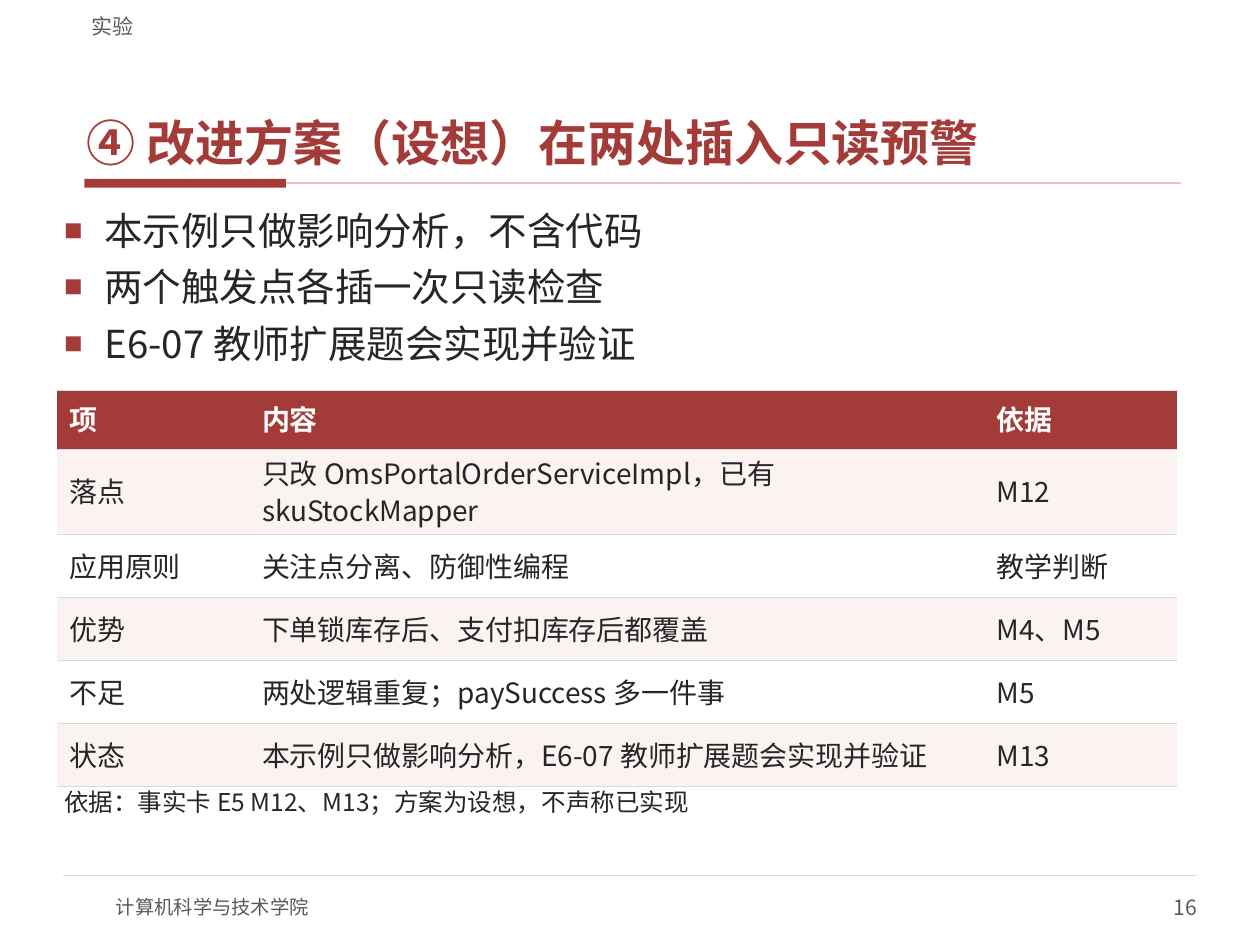
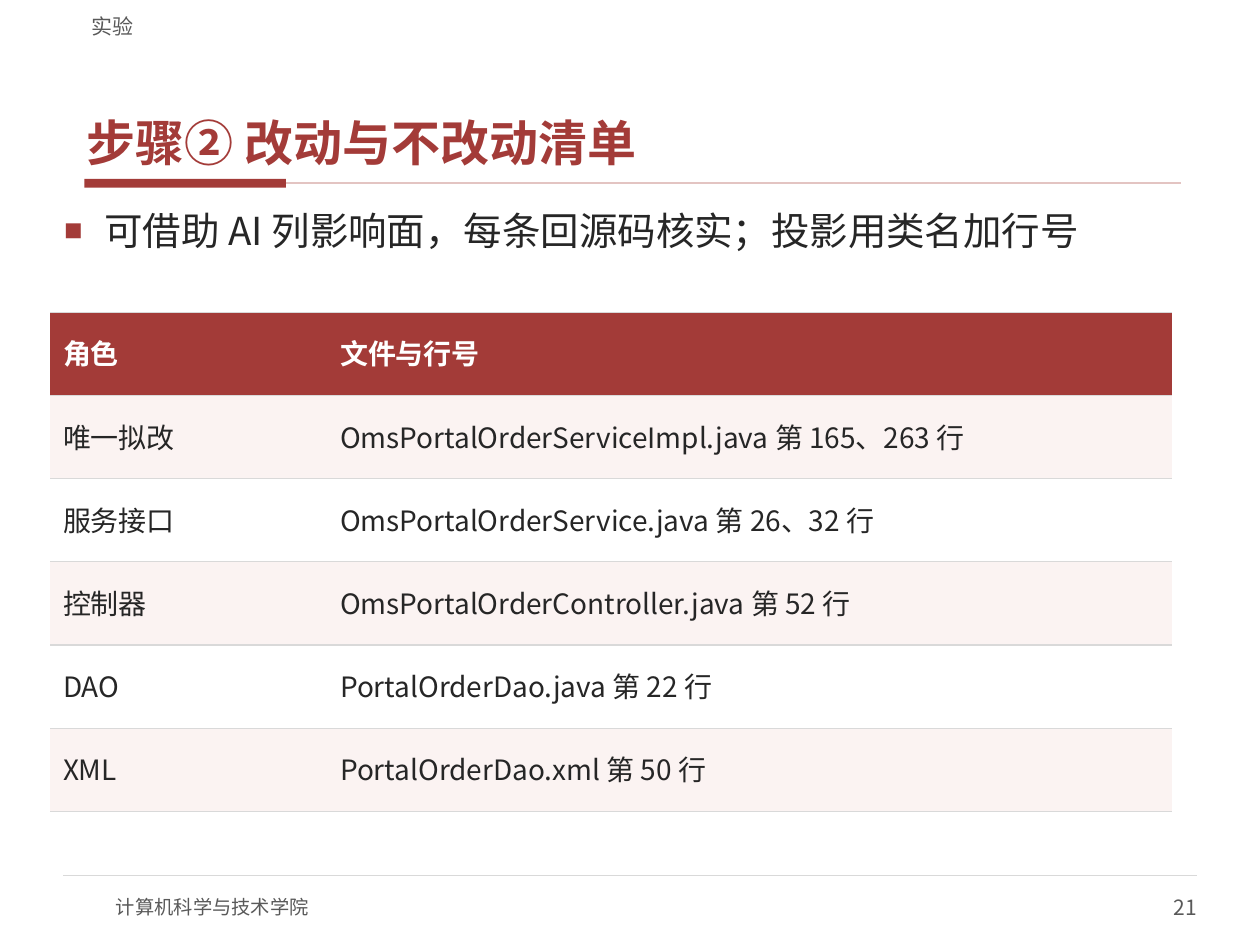
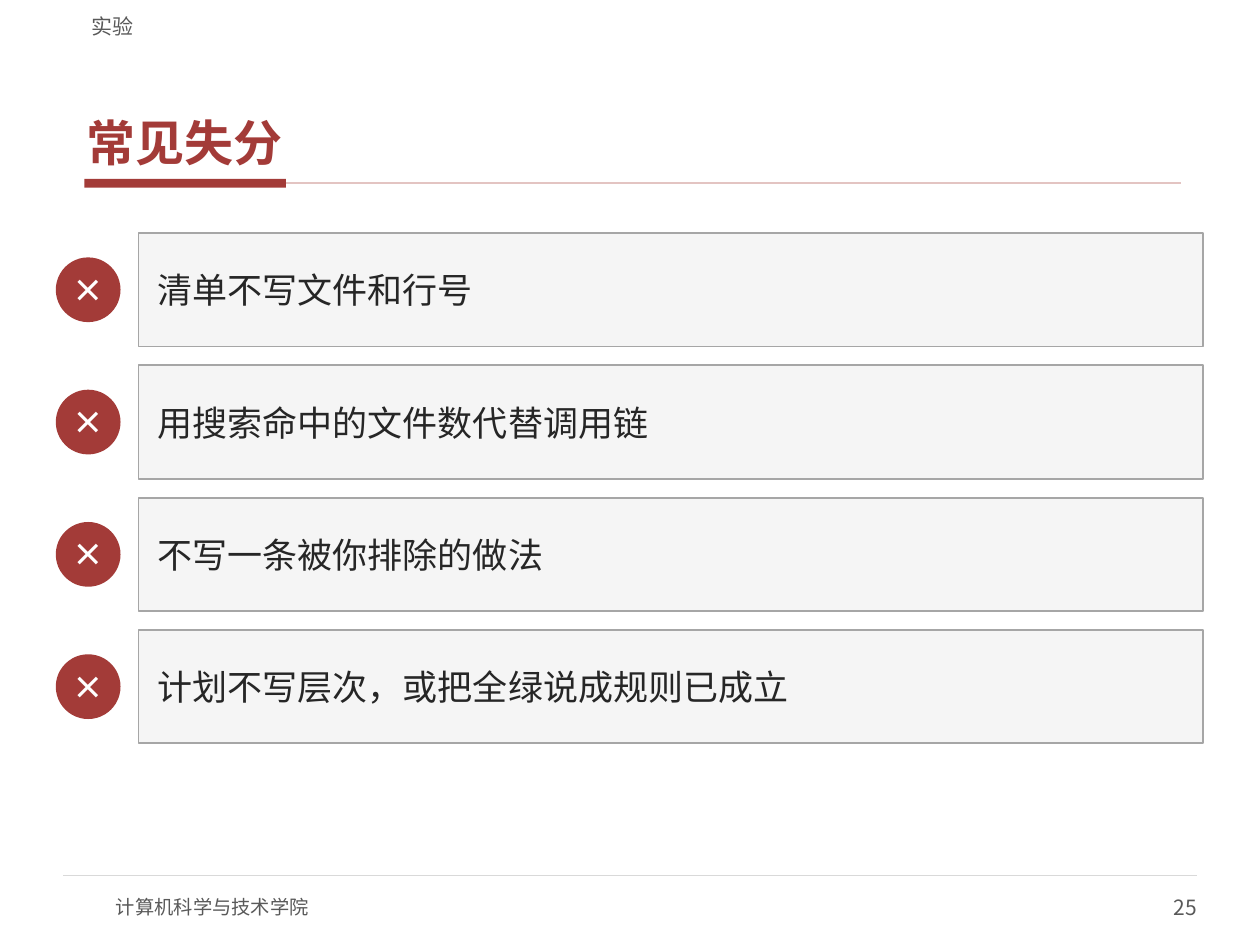
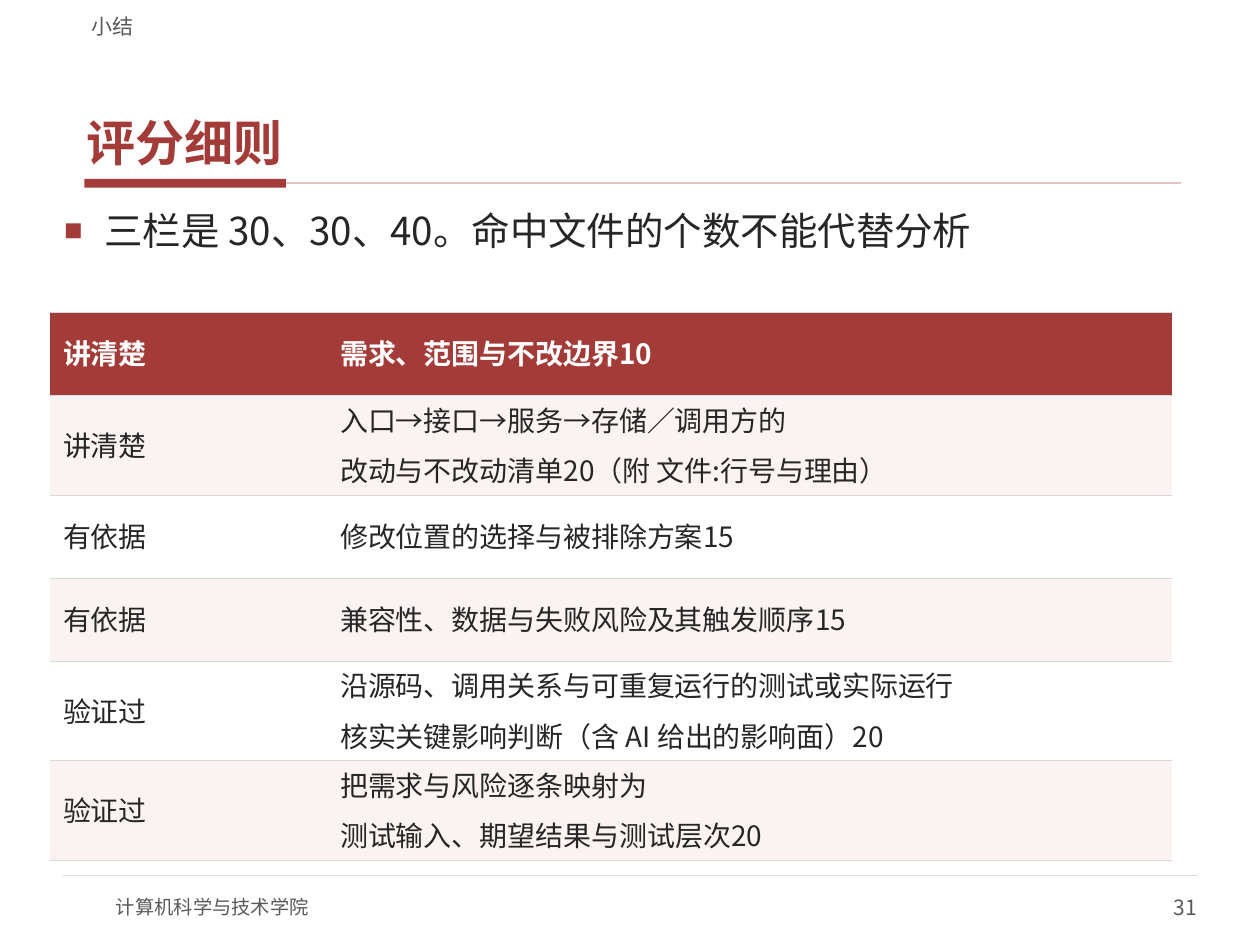
from lxml.etree import SubElement
from pptx import Presentation
from pptx.dml.color import RGBColor
from pptx.enum.shapes import MSO_CONNECTOR as CONN, MSO_SHAPE as SHAPE
from pptx.enum.text import MSO_ANCHOR as ANCHOR, PP_ALIGN as ALIGN
from pptx.oxml import parse_xml
from pptx.oxml.ns import nsdecls, qn
from pptx.util import Inches, Pt

FONT, BULLET_FONT = "Noto Sans CJK SC", "Arial"
RED, PALE_RED, ROSE = "A33B38", "E3C4C2", "FBF3F2"
INK, GRAY, MID, RULE, PANEL, WHITE = "262626", "595959", "A6A6A6", "D9D9D9", "F5F5F5", "FFFFFF"
COLS, ROWS = 200, 150
CELL = Inches(10) / COLS
NO_STYLE = "{2D5ABB26-0587-4C30-8999-92F81FD0307C}"
SNUG = (1.2, 0.4)


def grid(*cells):
    return [round(c * CELL) for c in cells]


def color(value):
    return RGBColor.from_string(value)


def add_bullet(p):
    pPr = p._p.get_or_add_pPr()
    pPr.set("marL", str(Inches(0.32)))
    pPr.set("indent", str(-Inches(0.32)))
    SubElement(SubElement(pPr, qn("a:buClr")), qn("a:srgbClr"), val=RED)
    SubElement(pPr, qn("a:buSzPct"), val="80000")
    SubElement(pPr, qn("a:buFont"), typeface=BULLET_FONT)
    SubElement(pPr, qn("a:buChar"), char="■")


def write(tf, text, size=16, ink=INK, bold=False, align=ALIGN.LEFT,
          before=0, after=0, spacing=None, bullet=False):
    for i, line in enumerate(text.split("\n")):
        p = tf.add_paragraph() if i else tf.paragraphs[0]
        p.alignment = align
        p.space_before, p.space_after = Pt(before if i else 0), Pt(after)
        if spacing:
            p.line_spacing = spacing
        if bullet:
            add_bullet(p)
        r = p.add_run()
        r.text = line
        r.font.name, r.font.size, r.font.bold = FONT, Pt(size), bold
        r.font.color.rgb = color(ink)
        SubElement(r._r.get_or_add_rPr(), qn("a:ea"), typeface=FONT)


def set_margins(holder, across, down):
    holder.margin_left, holder.margin_top = grid(across, down)
    holder.margin_right, holder.margin_bottom = grid(across, down)


def frame(sp, anchor, insets):
    tf = sp.text_frame
    tf.word_wrap = True
    tf.vertical_anchor = anchor
    set_margins(tf, *insets)
    return tf


def add_text(s, at, text, anchor=ANCHOR.TOP, insets=(0, 0), **fmt):
    write(frame(s.shapes.add_textbox(*grid(*at)), anchor, insets), text, **fmt)


def add_box(s, kind, at, fill, line=None, text=None, insets=(0, 0), **fmt):
    sp = s.shapes.add_shape(kind, *grid(*at))
    sp.shadow.inherit = False
    sp.fill.solid()
    sp.fill.fore_color.rgb = color(fill)
    if line:
        sp.line.color.rgb = color(line)
        sp.line.width = Pt(1)
    else:
        sp.line.fill.background()
    if text:
        write(frame(sp, ANCHOR.MIDDLE, insets), text, **fmt)


def add_rule(s, left, right, row, ink, width):
    c = s.shapes.add_connector(CONN.STRAIGHT, *grid(left, row, right, row))
    c.line.color.rgb = color(ink)
    c.line.width = Pt(width)
    SubElement(c._element.spPr, qn("a:effectLst"))


def add_borders(cell):
    tcPr = cell._tc.get_or_add_tcPr()
    for i, side in enumerate("TB"):
        tcPr.insert(i, parse_xml(
            f'<a:ln{side} {nsdecls("a")} w="{Pt(0.75)}"><a:solidFill>'
            f'<a:srgbClr val="{RULE}"/></a:solidFill></a:ln{side}>'))


def add_table(s, left, top, widths, heights, rows):
    shape = s.shapes.add_table(len(rows), len(widths),
                               *grid(left, top, sum(widths), sum(heights)))
    table = shape.table
    table.horz_banding = False
    table._tbl.tblPr.find(qn("a:tableStyleId")).text = NO_STYLE
    for col, width in zip(table.columns, grid(*widths)):
        col.width = width
    for row, height in zip(table.rows, grid(*heights)):
        row.height = height
    for i, row in enumerate(rows):
        fill = RED if i == 0 else (ROSE if i % 2 else WHITE)
        for j, text in enumerate(row):
            cell = table.cell(i, j)
            cell.vertical_anchor = ANCHOR.MIDDLE
            set_margins(cell, 2, 1)
            cell.fill.solid()
            cell.fill.fore_color.rgb = color(fill)
            add_borders(cell)
            write(cell.text_frame, text, ink=INK if i else WHITE, bold=i == 0,
                  before=6, after=2, spacing=0.9)


def add_role_table(s, rows):
    heights = [15.8 if "\n" in detail else 13.2 for _, detail in rows]
    add_table(s, 8, 49.6, (44, 134), heights, rows)


def add_bullets(s, text, height=15.6):
    add_text(s, (9, 32.4, 182, height), text, insets=SNUG,
             size=22, before=4, after=2, bullet=True)


def add_mistakes(s, mistakes):
    for i, text in enumerate(mistakes):
        top = 37 + 21 * i
        add_box(s, SHAPE.OVAL, (9, top + 4, 10, 10), RED, RED, "×",
                size=18, ink=WHITE, bold=True, align=ALIGN.CENTER)
        add_box(s, SHAPE.RECTANGLE, (22, top, 169, 18), PANEL, MID, text,
                insets=(3, 1.4), size=20)


def add_page(prs, section, title, number):
    s = prs.slides.add_slide(prs.slide_layouts[6])
    add_box(s, SHAPE.RECTANGLE, (13.4, 28.4, 32, 1.4), RED)
    add_rule(s, 45.4, 187.4, 29.1, PALE_RED, 1)
    add_rule(s, 10, 190, 139, RULE, 0.75)
    add_text(s, (18.4, 140, 80, 8), "计算机科学与技术学院", ANCHOR.MIDDLE, size=11, ink=GRAY)
    add_text(s, (150, 140, 40, 8), str(number), ANCHOR.MIDDLE,
             size=12, ink=GRAY, align=ALIGN.RIGHT)
    add_text(s, (12.6, 6.6, 175, 21), title, ANCHOR.BOTTOM, SNUG,
             size=28, ink=RED, bold=True, after=2)
    add_text(s, (12.6, 0.8, 175, 5.4), section, ANCHOR.BOTTOM, (2, 0), size=12, ink=GRAY)
    return s


def main():
    prs = Presentation()
    prs.slide_width, prs.slide_height = grid(COLS, ROWS)

    s = add_page(prs, "实验", "④ 改进方案（设想）在两处插入只读预警", 16)
    add_bullets(s, "本示例只做影响分析，不含代码\n两个触发点各插一次只读检查\n"
                   "E6-07 教师扩展题会实现并验证", height=27.4)
    add_table(s, 9, 62, (30.6, 116.6, 30.6), [9.3, 13.6] + [10] * 4, [
        ("项", "内容", "依据"),
        ("落点", "只改 OmsPortalOrderServiceImpl，已有 skuStockMapper", "M12"),
        ("应用原则", "关注点分离、防御性编程", "教学判断"),
        ("优势", "下单锁库存后、支付扣库存后都覆盖", "M4、M5"),
        ("不足", "两处逻辑重复；paySuccess 多一件事", "M5"),
        ("状态", "本示例只做影响分析，E6-07 教师扩展题会实现并验证", "M13"),
    ])
    add_text(s, (9, 124.6, 182, 10), "依据：事实卡 E5 M12、M13；方案为设想，不声称已实现",
             insets=SNUG, size=14, after=2)

    s = add_page(prs, "实验", "步骤② 改动与不改动清单", 21)
    add_bullets(s, "可借助 AI 列影响面，每条回源码核实；投影用类名加行号")
    add_role_table(s, [
        ("角色", "文件与行号"),
        ("唯一拟改", "OmsPortalOrderServiceImpl.java 第 165、263 行"),
        ("服务接口", "OmsPortalOrderService.java 第 26、32 行"),
        ("控制器", "OmsPortalOrderController.java 第 52 行"),
        ("DAO", "PortalOrderDao.java 第 22 行"),
        ("XML", "PortalOrderDao.xml 第 50 行"),
    ])

    s = add_page(prs, "实验", "常见失分", 25)
    add_mistakes(s, ["清单不写文件和行号", "用搜索命中的文件数代替调用链",
                     "不写一条被你排除的做法", "计划不写层次，或把全绿说成规则已成立"])

    s = add_page(prs, "小结", "评分细则", 31)
    add_bullets(s, "三栏是 30、30、40。命中文件的个数不能代替分析")
    add_role_table(s, [
        ("讲清楚", "需求、范围与不改边界10"),
        ("讲清楚", "入口→接口→服务→存储／调用方的\n改动与不改动清单20（附 文件:行号与理由）"),
        ("有依据", "修改位置的选择与被排除方案15"),
        ("有依据", "兼容性、数据与失败风险及其触发顺序15"),
        ("验证过", "沿源码、调用关系与可重复运行的测试或实际运行\n"
                "核实关键影响判断（含 AI 给出的影响面）20"),
        ("验证过", "把需求与风险逐条映射为\n测试输入、期望结果与测试层次20"),
    ])

    prs.save("out.pptx")


if __name__ == "__main__":
    main()
